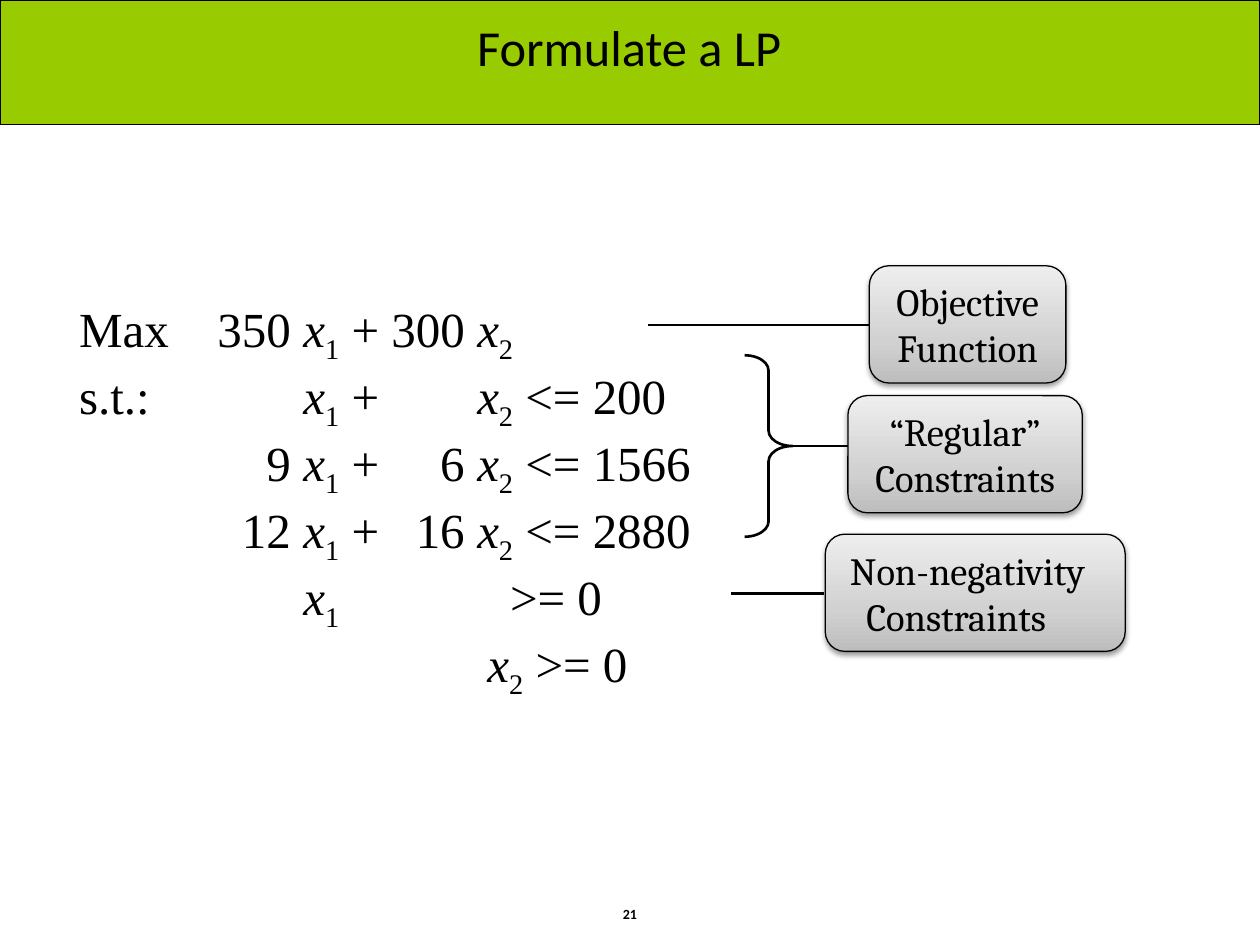
from dataclasses import dataclass

from lxml.etree import SubElement
from pptx import Presentation
from pptx.dml.color import RGBColor
from pptx.enum.shapes import MSO_CONNECTOR, MSO_SHAPE
from pptx.enum.text import MSO_ANCHOR, PP_ALIGN
from pptx.oxml import parse_xml
from pptx.oxml.ns import nsdecls, qn
from pptx.util import Inches, Pt

COLORS = {
    "ink": "000000",
    "band": "99CC00",
    "dark": "BDBDBD",
    "mid": "D1D1D1",
    "light": "EEEEEE",
}
COLS, ROWS = 10, 7.5
WIDTH, HEIGHT = Inches(10), Inches(7.5)
TABS = (("r", 1.68), ("l", 1.78), ("r", 3.06), ("l", 3.16), ("l", 3.24), ("l", 3.42))
MODEL = (
    "Max\t350\t|1 + \t300\t|2",
    "s.t.:\t\t|1 + \t\t|2 <= 200",
    "\t9\t|1 + \t6\t|2 <= 1566",
    "\t12\t|1 + \t16\t|2 <= 2880",
    "\t\t|1\t\t\t\t>= 0",
    "\t\t\t\t\t|2 >= 0",
)


@dataclass
class Callout:
    lines: tuple[str, str]
    left: float
    top: float
    width: float
    centred: bool = True


@dataclass
class Leader:
    start: float
    end: float
    y: float


CALLOUTS = (
    Callout(("Objective", "Function"), 6.9, 2.11, 1.56),
    Callout(("“Regular”", "Constraints"), 6.73, 3.14, 1.86),
    Callout(("Non-negativity", "Constraints"), 6.55, 4.24, 2.38, False),
)
LEADERS = (Leader(5.14, 6.9, 2.58), Leader(5.8, 6.54, 4.71), Leader(6.26, 6.73, 3.54))


def col(n: float) -> int:
    return int(WIDTH * n / COLS)


def row(n: float) -> int:
    return int(HEIGHT * n / ROWS)


def rgb(name: str) -> RGBColor:
    return RGBColor.from_string(COLORS[name])


def area(left: float, top: float, width: float, height: float) -> tuple:
    return col(left), row(top), col(width), row(height)


def style(p, size: float, face: str, bold: bool = False) -> None:
    p.font.size, p.font.name, p.font.bold = Pt(size), face, bold
    p.font.color.rgb = rgb("ink")


def outline(shape, width: float) -> None:
    shape.line.color.rgb = rgb("ink")
    shape.line.width = Pt(width)


def add_label(s, box: tuple, text: str, size: float, bold: bool = False) -> None:
    tf = s.shapes.add_textbox(*box).text_frame
    tf.word_wrap = True
    tf.vertical_anchor = MSO_ANCHOR.MIDDLE
    p = tf.paragraphs[0]
    p.text, p.alignment = text, PP_ALIGN.CENTER
    style(p, size, "Calibri", bold)


def add_term(p, term: str) -> None:
    p.add_run().text = "x"
    p.runs[-1].font.italic = True
    r = p.add_run()
    r.text = term[0]
    r.font._element.set("baseline", "-25000")
    if term[1:]:
        p.add_run().text = term[1:]


def add_model(s) -> None:
    tf = s.shapes.add_textbox(*area(0.53, 2.32, 9.47, 3.15)).text_frame
    tf.word_wrap = True
    for i, line in enumerate(MODEL):
        p = tf.paragraphs[0] if i == 0 else tf.add_paragraph()
        p.line_spacing = Pt(38.3)
        tabs = SubElement(p._p.get_or_add_pPr(), qn("a:tabLst"))
        for align, pos in TABS:
            SubElement(tabs, qn("a:tab"), pos=str(col(pos)), algn=align)
        style(p, 28, "Times New Roman")
        lead, *terms = line.split("|")
        p.add_run().text = lead
        for term in terms:
            add_term(p, term)


def shade(shape) -> None:
    stops = "".join(
        f'<a:gs pos="{pos}"><a:srgbClr val="{COLORS[name]}"/></a:gs>'
        for pos, name in ((0, "dark"), (35000, "mid"), (100000, "light"))
    )
    fill = parse_xml(
        f'<a:gradFill {nsdecls("a")} rotWithShape="1"><a:gsLst>{stops}</a:gsLst>'
        '<a:lin ang="16200000" scaled="1"/></a:gradFill>'
    )
    shadow = parse_xml(
        f'<a:effectLst {nsdecls("a")}><a:outerShdw blurRad="{Pt(3.1)}" dist="{Pt(1.6)}"'
        f' dir="5400000" rotWithShape="0"><a:srgbClr val="{COLORS["ink"]}">'
        '<a:alpha val="38000"/></a:srgbClr></a:outerShdw></a:effectLst>'
    )
    props = shape._element.spPr
    props.find(qn("a:prstGeom")).addnext(fill)
    props.find(qn("a:ln")).addnext(shadow)


def add_callout(s, c: Callout) -> None:
    box = area(c.left, c.top, c.width, 0.93)
    sp = s.shapes.add_shape(MSO_SHAPE.ROUNDED_RECTANGLE, *box)
    outline(sp, 0.75)
    shade(sp)
    tf = sp.text_frame
    tf.word_wrap = not c.centred
    tf.vertical_anchor = MSO_ANCHOR.MIDDLE
    if not c.centred:
        tf.margin_left = col(0.15)
    for i, line in enumerate(c.lines):
        p = tf.paragraphs[0] if i == 0 else tf.add_paragraph()
        p.text = line
        p.alignment = PP_ALIGN.CENTER if c.centred else PP_ALIGN.LEFT
        if i and not c.centred:
            p._p.get_or_add_pPr().set("marL", str(col(0.13)))
        style(p, 22, "Cambria")


def add_leader(s, leader: Leader) -> None:
    y = row(leader.y)
    line = s.shapes.add_connector(
        MSO_CONNECTOR.STRAIGHT, col(leader.start), y, col(leader.end), y
    )
    outline(line, 1.5)
    SubElement(line._element.spPr, qn("a:effectLst"))


def main() -> None:
    prs = Presentation()
    prs.slide_width, prs.slide_height = WIDTH, HEIGHT
    s = prs.slides.add_slide(prs.slide_layouts[6])

    band = s.shapes.add_shape(MSO_SHAPE.RECTANGLE, *area(0, 0, COLS, 0.99))
    band.shadow.inherit = False
    band.fill.solid()
    band.fill.fore_color.rgb = rgb("band")
    outline(band, 0.75)
    add_label(s, area(0.08, 0.08, 9.83, 0.58), "Formulate a LP", 28.8)
    add_label(s, area(4.77, 7.12, 0.46, 0.27), "21", 8, True)

    add_model(s)
    for c in CALLOUTS:
        add_callout(s, c)
    for leader in LEADERS:
        add_leader(s, leader)

    brace = s.shapes.add_shape(MSO_SHAPE.RIGHT_BRACE, *area(5.91, 2.82, 0.38, 1.44))
    brace.adjustments[0] = 0.32
    brace.shadow.inherit = False
    brace.fill.background()
    outline(brace, 1.5)

    prs.save("out.pptx")


if __name__ == "__main__":
    main()
